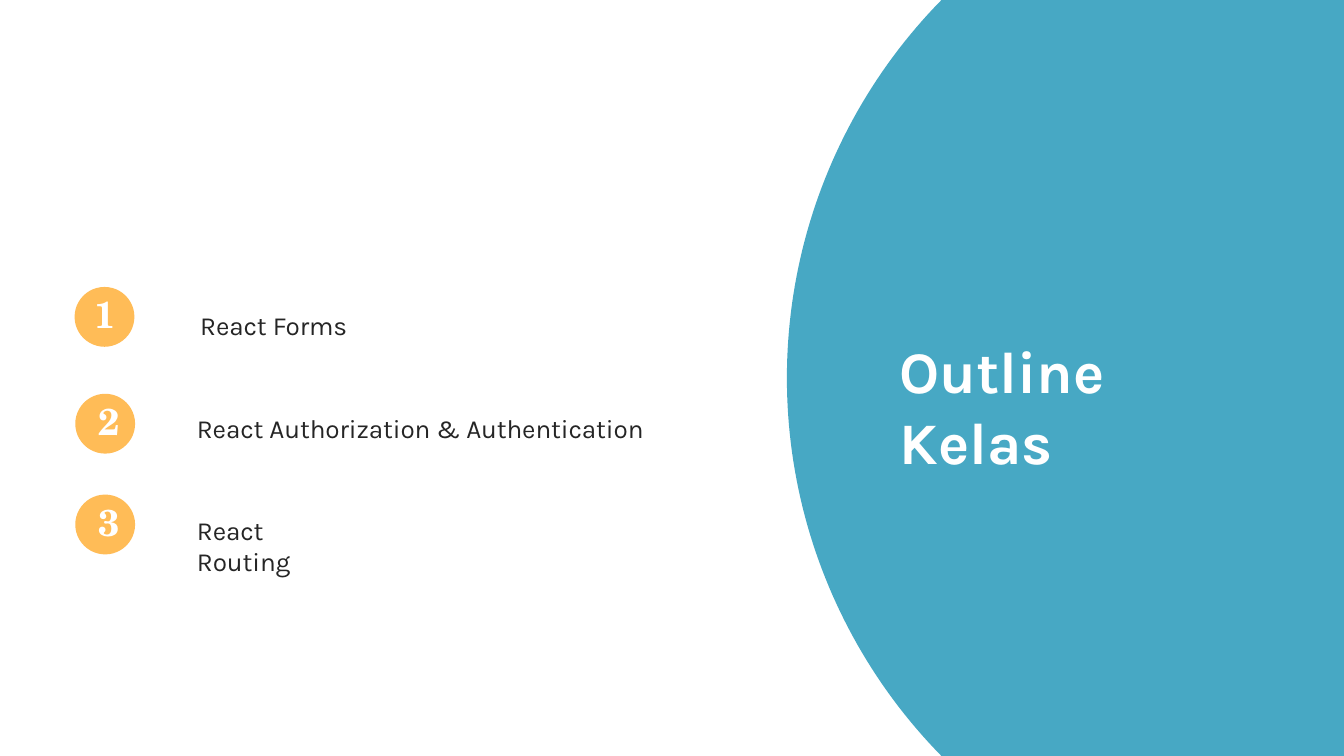
import math
from dataclasses import dataclass

import pptx
import pptx.util
import pptx.dml.color
import pptx.enum.shapes
import pptx.enum.text


@dataclass(frozen=True)
class Theme:
    teal: str = "47A8C4"
    gold: str = "FFBC57"
    ink: str = "252525"
    white: str = "FFFFFF"
    sans: str = "Karla"
    serif: str = "TeX Gyre Schola"
    head: int = 63
    body: int = 28
    mark: int = 40


@dataclass(frozen=True)
class Box:
    x: float
    y: float
    w: float
    h: float


THEME = Theme()
WIDE = pptx.util.Inches(20)
TALL = pptx.util.Inches(11.25)
COLS = 20
CELL = WIDE / COLS
ROWS = TALL / CELL


def grid(*parts):
    return [pptx.util.Emu(round(part * CELL)) for part in parts]


def paint(shape, tone):
    shape.shadow.inherit = False
    shape.fill.solid()
    shape.fill.fore_color.rgb = pptx.dml.color.RGBColor.from_string(tone)
    shape.line.fill.background()


def write(slide, box, text, font, size, tone, bold=False, gap=0.9):
    frame = slide.shapes.add_textbox(*grid(box.x, box.y, box.w, box.h)).text_frame
    frame.margin_left = frame.margin_right = frame.margin_bottom = 0
    frame.margin_top = pptx.util.Inches(0.01)
    frame.word_wrap = True
    frame.auto_size = pptx.enum.text.MSO_AUTO_SIZE.SHAPE_TO_FIT_TEXT
    frame.text = text
    para = frame.paragraphs[0]
    para.space_before = pptx.util.Pt(gap)
    run = para.runs[0]
    run.font.name = font
    run.font.size = pptx.util.Pt(size)
    run.font.bold = bold
    run.font.color.rgb = pptx.dml.color.RGBColor.from_string(tone)
    run.font._element.set("spc", "-10")


def panel(slide, box, inset, title, steps=90):
    half = box.h / 2
    radius = (half ** 2 + inset ** 2) / (2 * inset)
    sweep = math.asin(half / radius)
    turns = [sweep * (2 * step / steps - 1) for step in range(steps + 1)]
    arc = [
        (box.x + radius * (1 - math.cos(turn)), box.y + half + radius * math.sin(turn))
        for turn in turns
    ]
    right = box.x + box.w
    edge = arc + [(right, box.y + box.h), (right, box.y)]
    points = [grid(*point) for point in edge]
    pen = slide.shapes.build_freeform(*points[0])
    pen.add_line_segments(points[1:], close=True)
    paint(pen.convert_to_shape(), THEME.teal)
    place = Box(box.x + 1.68, box.y + 4.97, 5.43, 2.1)
    write(slide, place, title, THEME.sans, THEME.head, THEME.white, True, 1)


def entry(slide, box, mark, label, shift, drop):
    disc = slide.shapes.add_shape(
        pptx.enum.shapes.MSO_SHAPE.OVAL, *grid(box.x, box.y, box.h, box.h)
    )
    paint(disc, THEME.gold)
    spot = Box(box.x + shift, box.y + 0.06, 0.38, 0.69)
    write(slide, spot, mark, THEME.serif, THEME.mark, THEME.white, True)
    indent = 1.52 + shift
    indent = 1.87 if shift < 0.3 else 1.81
    place = Box(box.x + indent, box.y + drop, box.w - indent, 0.49)
    write(slide, place, label, THEME.sans, THEME.body, THEME.ink)


def outline(slide, box):
    items = [
        (0, 0, 8.44, "React Forms", 0.29, 0.33),
        (0.01, 1.59, 8.88, "React Authorization & Authentication", 0.34, 0.27),
        (0.01, 3.09, 4.26, "React Routing", 0.34, 0.28),
    ]
    for rank, (left, top, wide, label, shift, drop) in enumerate(items, 1):
        row = Box(box.x + left, box.y + top, wide, 0.89)
        entry(slide, row, str(rank), label, shift, drop)


def main():
    deck = pptx.Presentation()
    deck.slide_width = WIDE
    deck.slide_height = TALL
    slide = deck.slides.add_slide(deck.slide_layouts[6])
    panel(slide, Box(11.71, 0, COLS - 11.71, ROWS), 2.3, "Outline Kelas")
    outline(slide, Box(1.11, 4.27, 8.89, 3.98))
    deck.save("out.pptx")


if __name__ == "__main__":
    main()
